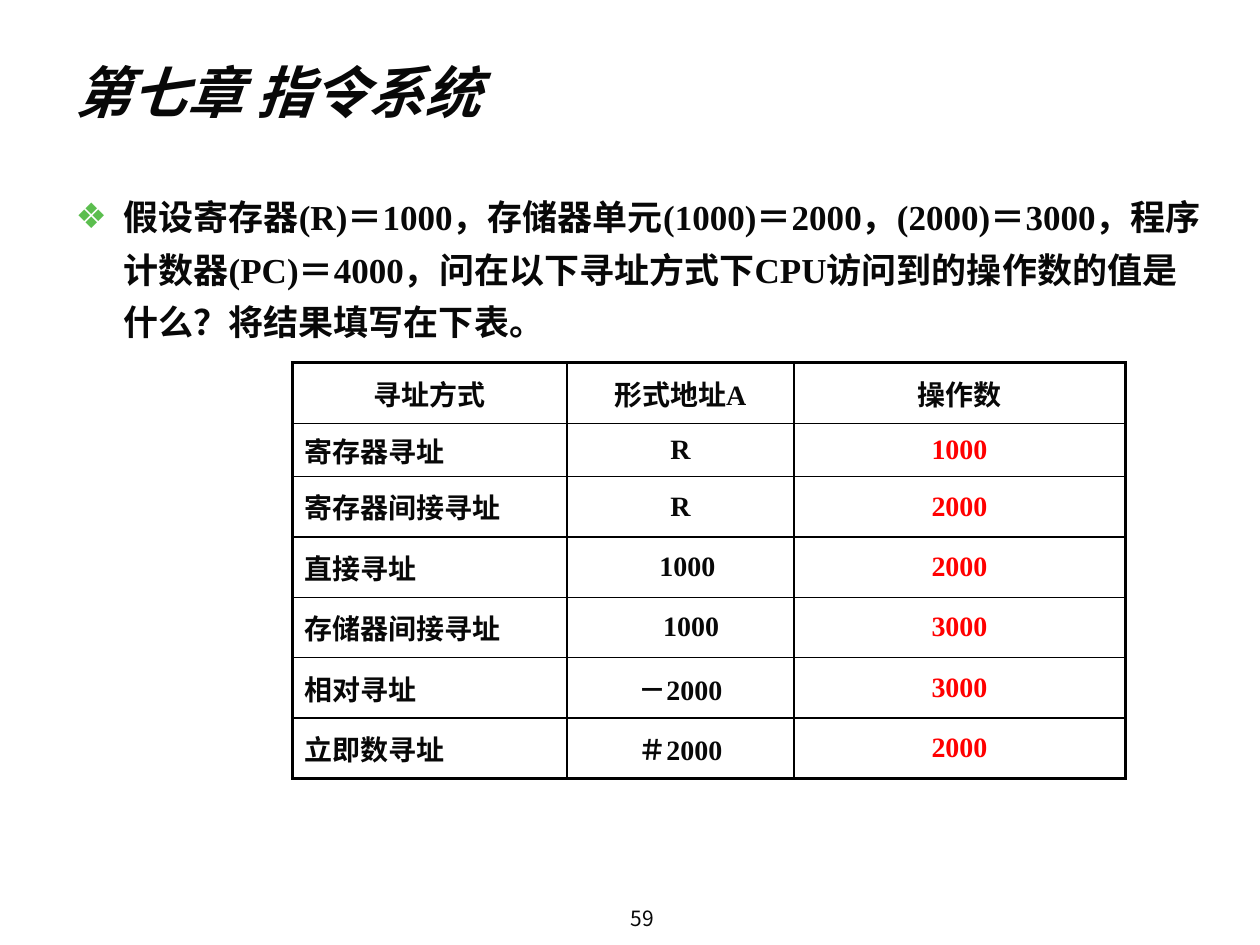
from lxml.etree import SubElement
from pptx import Presentation
from pptx.dml.color import RGBColor
from pptx.enum.text import MSO_ANCHOR as Anchor, MSO_AUTO_SIZE as AutoSize, PP_ALIGN as Align
from pptx.oxml.ns import qn
from pptx.util import Inches, Pt

COLORS = {"ink": "080808", "answer": "FF0000", "bullet": "5BBE4E", "border": "000000"}
CJK, LATIN = "Noto Sans CJK SC", "Times New Roman"

CHAPTER = "第七章 指令系统"
QUESTION = ("假设寄存器(R)＝1000，存储器单元(1000)＝2000，(2000)＝3000，程序计数器(PC)＝4000，"
            "问在以下寻址方式下CPU访问到的操作数的值是什么？将结果填写在下表。")
ADDRESSING = [
    ("寻址方式", "形式地址A", "操作数"),
    ("寄存器寻址", "R", "1000"),
    ("寄存器间接寻址", "R", "2000"),
    ("直接寻址", "1000", "2000"),
    ("存储器间接寻址", "1000", "3000"),
    ("相对寻址", "－2000", "3000"),
    ("立即数寻址", "＃2000", "2000"),
]
COLUMN_WIDTHS = (2.18, 1.8, 2.63)
ROW_HEIGHTS = (0.48, 0.42) + (0.48,) * 5
ADDRESS_MARGINS = {3: 0.21, 4: 0.27}  # rows whose address sits right of centre


def place(part, box):
    for side, length in zip(("left", "top", "width", "height"), box):
        setattr(part, side, Inches(length))


def write(frame, text, size, color="ink", latin=LATIN, align=Align.LEFT, **styles):
    paragraph = frame.paragraphs[0]
    paragraph.alignment = align
    run = paragraph.add_run()
    run.text = text
    for key, value in {"size": Pt(size), "name": latin, **styles}.items():
        setattr(run.font, key, value)
    run.font.color.rgb = RGBColor.from_string(COLORS[color])
    east_asian = SubElement(run.font._element, qn("a:ea"))
    east_asian.set("typeface", CJK)
    return paragraph


def add_bullet(paragraph, char, indent):
    properties = paragraph._p.get_or_add_pPr()
    properties.set("marL", str(Inches(indent)))
    properties.set("indent", str(-Inches(indent)))
    color = SubElement(properties, qn("a:buClr"))
    SubElement(color, qn("a:srgbClr")).set("val", COLORS["bullet"])
    SubElement(properties, qn("a:buChar")).set("char", char)


def fill_title(title, box):
    place(title, box)
    frame = title.text_frame
    frame.auto_size = AutoSize.NONE
    frame.vertical_anchor = Anchor.MIDDLE
    write(frame, CHAPTER, 32, latin=CJK, bold=True, italic=True)


def fill_question(body, box):
    place(body, box)
    frame = body.text_frame
    frame.auto_size = AutoSize.NONE
    paragraph = write(frame, QUESTION, 20, bold=True)
    add_bullet(paragraph, "❖", 0.38)
    paragraph.line_spacing = 1.25
    paragraph.space_before = Pt(0)


def set_borders(cell, outer_sides):
    """Draw 2 pt lines on the table's outer sides and 1 pt lines elsewhere."""
    properties = cell._tc.get_or_add_tcPr()
    for side in "LRTB":
        line = SubElement(properties, qn(f"a:ln{side}"))
        line.set("w", str(Pt(2 if side in outer_sides else 1)))
        fill = SubElement(line, qn("a:solidFill"))
        SubElement(fill, qn("a:srgbClr")).set("val", COLORS["border"])


def add_addressing_table(slide, box):
    last_row, last_column = len(ADDRESSING) - 1, len(COLUMN_WIDTHS) - 1
    table = slide.shapes.add_table(last_row + 1, last_column + 1, *map(Inches, box)).table
    table.first_row = table.horz_banding = False
    for column, width in zip(table.columns, COLUMN_WIDTHS):
        column.width = Inches(width)
    for row, height in zip(table.rows, ROW_HEIGHTS):
        row.height = Inches(height)
    for r, entries in enumerate(ADDRESSING):
        for c, text in enumerate(entries):
            cell = table.cell(r, c)
            edges = {"L": c == 0, "R": c == last_column, "T": r == 0, "B": r == last_row}
            set_borders(cell, [side for side, outer in edges.items() if outer])
            cell.fill.background()
            cell.vertical_anchor = Anchor.MIDDLE
            if c == 1 and r in ADDRESS_MARGINS:
                cell.margin_left = Inches(ADDRESS_MARGINS[r])
            write(cell.text_frame, text, 16, bold=True,
                  color="answer" if r and c == last_column else "ink",
                  align=Align.LEFT if r and c == 0 else Align.CENTER)


def add_page_number(slide, box):
    frame = slide.shapes.add_textbox(*map(Inches, box)).text_frame
    frame.word_wrap = True
    frame.vertical_anchor = Anchor.MIDDLE
    frame.margin_top = frame.margin_bottom = 0
    frame.margin_left = Inches(0.28)
    write(frame, "59", 12, latin=CJK, align=Align.CENTER)


def main():
    deck = Presentation()
    deck.slide_width, deck.slide_height = Inches(10), Inches(7.5)
    slide = deck.slides.add_slide(deck.slide_layouts[1])
    fill_title(slide.shapes.title, (0.5, 0.25, 9, 0.95))
    fill_question(slide.placeholders[1], (0.5, 1.42, 9.15, 5.5))
    add_addressing_table(slide, (2.32, 2.88, sum(COLUMN_WIDTHS), sum(ROW_HEIGHTS)))
    add_page_number(slide, (3.42, 7.15, 3.17, 0.27))
    deck.save("out.pptx")


if __name__ == "__main__":
    main()
